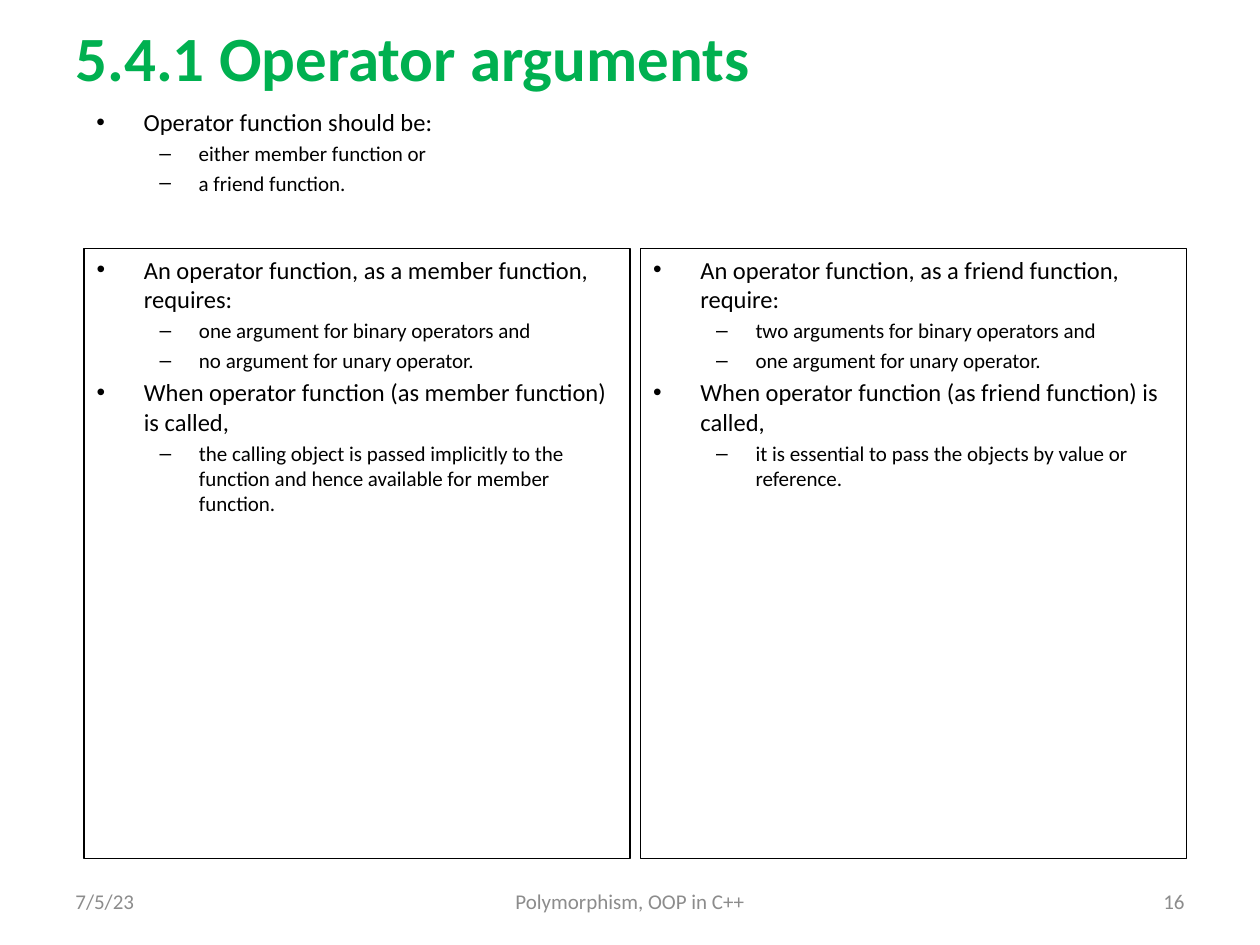
import pptx
import pptx.util
import pptx.dml.color
import pptx.enum.text
import lxml.etree
from dataclasses import dataclass

Pt = pptx.util.Pt
RGB = pptx.dml.color.RGBColor.from_string
Align = pptx.enum.text.PP_ALIGN
Anchor = pptx.enum.text.MSO_ANCHOR


@dataclass(frozen=True)
class Theme:
    """Colours, font and type sizes of the slide."""
    font: str = "Calibri"
    head: str = "00B050"
    ink: str = "000000"
    mute: str = "8C8C8C"
    title: int = 36
    sizes: tuple = (14, 12)
    foot: int = 12
    edge: float = 0.75


THEME = Theme()
MARKS = (("•", 27, -27), ("–", 58.5, -22.5))

INTRO = [
    (0, "Operator function should be:"),
    (1, "either member function or"),
    (1, "a friend function."),
]
MEMBER = [
    (0, "An operator function, as a member function, requires:"),
    (1, "one argument for binary operators and"),
    (1, "no argument for unary operator."),
    (0, "When operator function (as member function) is called,"),
    (1, "the calling object is passed implicitly to the function "
        "and hence available for member function."),
]
FRIEND = [
    (0, "An operator function, as a friend function, require:"),
    (1, "two arguments for binary operators and"),
    (1, "one argument for unary operator."),
    (0, "When operator function (as friend function) is called,"),
    (1, "it is essential to pass the objects by value or reference."),
]
FOOT = [
    (0, 168, "7/5/23", Align.LEFT),
    (210, 228, "Polymorphism, OOP in C++", Align.CENTER),
    (480, 168, "16", Align.RIGHT),
]


def place(shape, box):
    """Move a shape to a box given in points."""
    shape.left, shape.top, shape.width, shape.height = map(Pt, box)


def style(para, size, color, bold=False):
    """Format every run of a paragraph."""
    for run in para.runs:
        font = run.font
        font.name, font.size, font.bold = THEME.font, Pt(size), bold
        font.color.rgb = RGB(color)


def frame(shape, anchor):
    """Return the wrapped text frame of a shape."""
    text = shape.text_frame
    text.word_wrap = True
    text.auto_size = pptx.enum.text.MSO_AUTO_SIZE.NONE
    text.vertical_anchor = anchor
    return text


def bullet(para, level):
    """Give a paragraph the mark and indent of its level."""
    mark, left, hang = MARKS[level]
    para.level = level
    para.space_before = Pt(THEME.sizes[level] * 0.2)
    props = para._p.get_or_add_pPr()
    props.set("marL", str(Pt(left)))
    props.set("indent", str(Pt(hang)))
    space = props.nsmap["a"]
    face = lxml.etree.SubElement(props, f"{{{space}}}buFont")
    face.set("typeface", "Arial")
    sign = lxml.etree.SubElement(props, f"{{{space}}}buChar")
    sign.set("char", mark)


def heading(shape, box, words):
    """Fill the title placeholder."""
    place(shape, box)
    text = frame(shape, Anchor.MIDDLE)
    text.text = words
    para = text.paragraphs[0]
    para.alignment = Align.LEFT
    style(para, THEME.title, THEME.head, True)


def outline(shape, box, items):
    """Fill a shape with a two-level list."""
    place(shape, box)
    text = frame(shape, Anchor.TOP)
    text.text = "\n".join(words for _, words in items)
    for para, (level, _) in zip(text.paragraphs, items):
        bullet(para, level)
        style(para, THEME.sizes[level], THEME.ink)


def columns(shapes, box, lists, gap):
    """Set framed lists side by side in a box."""
    left, top, width, height = box
    wide = (width - gap * (len(lists) - 1)) / len(lists)
    for i, (shape, items) in enumerate(zip(shapes, lists)):
        outline(shape, (left + i * (wide + gap), top, wide, height), items)
        shape.line.color.rgb = RGB(THEME.ink)
        shape.line.width = Pt(THEME.edge)


def footer(slide, box, parts):
    """Set the date, footer and page number in a row."""
    left, top, _, height = box
    for shift, width, words, align in parts:
        shape = slide.shapes.add_textbox(
            *map(Pt, (left + shift, top, width, height)))
        text = frame(shape, Anchor.MIDDLE)
        text.text = words
        para = text.paragraphs[0]
        para.alignment = align
        style(para, THEME.foot, THEME.mute)


def main():
    """Build and save the slide."""
    deck = pptx.Presentation()
    deck.slide_width, deck.slide_height = Pt(720), Pt(540)
    slide = deck.slides.add_slide(
        deck.slide_layouts.get_by_name("Two Content"))
    holders = slide.placeholders
    heading(slide.shapes.title, (36, 10.8, 648, 43.2),
            "5.4.1 Operator arguments")
    columns((holders[1], holders[2]), (48, 142, 630, 348.5),
            (MEMBER, FRIEND), 6)
    footer(slide, (36, 500.5, 648, 28.75), FOOT)
    intro = slide.shapes.add_textbox(0, 0, 0, 0)
    outline(intro, (48, 57.6, 606, 84), INTRO)
    deck.save("out.pptx")


if __name__ == "__main__":
    main()
